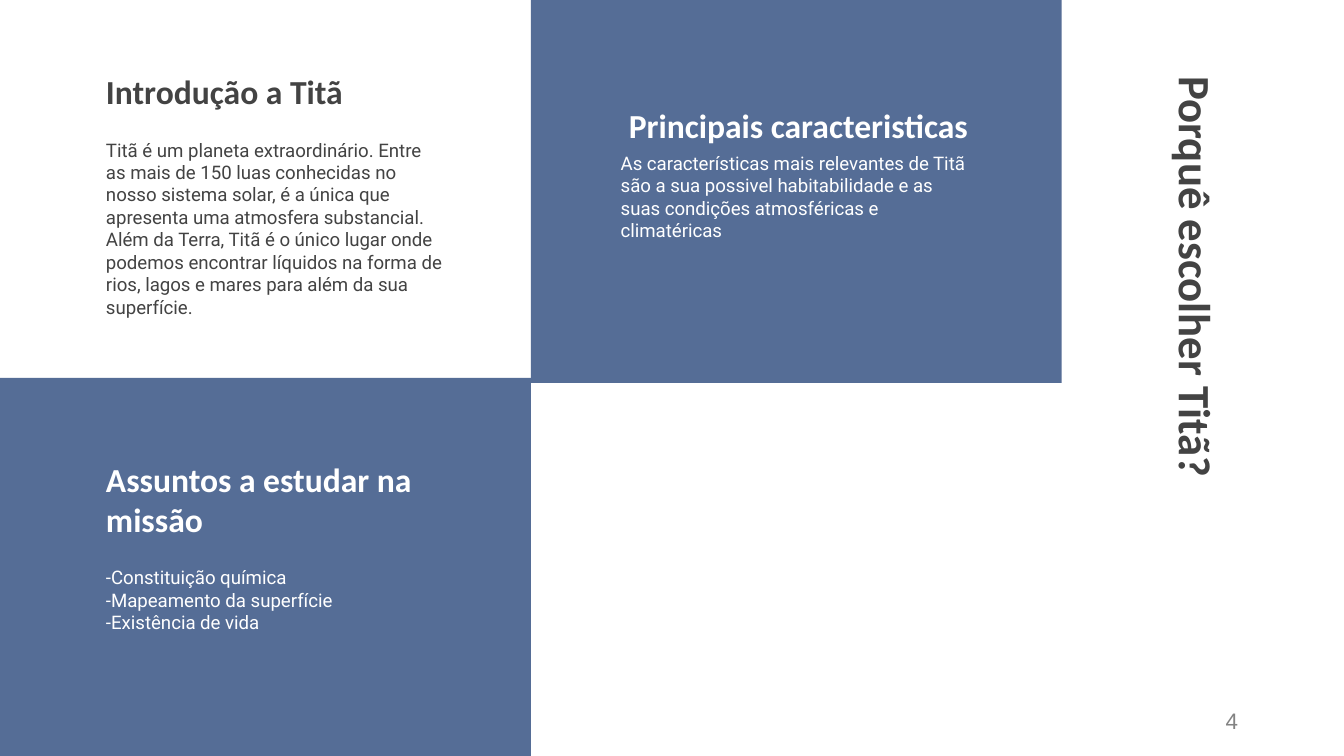
from pptx import Presentation
from pptx import util as u
from pptx.dml.color import RGBColor
from pptx.enum import shapes, text

COLORS = {"blue": "556D96", "dark": "434343", "white": "FFFFFF", "gray": "838383"}
WIDTH = 10
HEIGHT = WIDTH * 9 / 16
COL, ROW = 3.95, HEIGHT / 2  # panel grid, in inches
HEAD_H = 0.71

prs = Presentation()
prs.slide_width, prs.slide_height = u.Inches(WIDTH), u.Inches(HEIGHT)
s = prs.slides.add_slide(prs.slide_layouts[6])


def add_text(paragraphs, x, y, w, h, *, size, color, font="Calibri", bold=False,
             anchor=text.MSO_ANCHOR.TOP, align=text.PP_ALIGN.LEFT, inset_y=0.1):
    sp = s.shapes.add_textbox(*map(u.Inches, (x, y, w, h)))
    tf = sp.text_frame
    tf.word_wrap = True
    tf.vertical_anchor = anchor
    tf.margin_left = tf.margin_right = u.Inches(0.1)
    tf.margin_top = tf.margin_bottom = u.Inches(inset_y)
    for i, line in enumerate(paragraphs):
        p = tf.paragraphs[0] if i == 0 else tf.add_paragraph()
        p.alignment = align
        r = p.add_run()
        r.text = line
        r.font.name, r.font.size, r.font.bold = font, u.Pt(size), bold
        r.font.color.rgb = RGBColor.from_string(COLORS[color])
    return sp


# Blue panels: left, top, height
for x, y, h in [(COL, -0.03, 2.88), (0, ROW, ROW)]:
    sp = s.shapes.add_shape(shapes.MSO_SHAPE.RECTANGLE, *map(u.Inches, (x, y, COL, h)))
    sp.shadow.inherit = False
    sp.fill.solid()
    sp.fill.fore_color.rgb = RGBColor.from_string(COLORS["blue"])
    sp.line.fill.background()

# Panels: column, row, colour, heading, its (x, y, w) in the cell,
# body paragraphs, their (x, y, w, h) in the cell
panels = [
    (0, 0, "dark", "Introdução a Titã", (0.69, 0.22, 3.14),
     ["Titã é um planeta extraordinário. Entre as mais de 150 luas conhecidas no "
      "nosso sistema solar, é a única que apresenta uma atmosfera substancial.",
      "Além da Terra, Titã é o único lugar onde podemos encontrar líquidos na forma "
      "de rios, lagos e mares para além da sua superfície."],
     (0.69, 0.93, 2.71, 0.59)),
    (1, 0, "white", "Principais caracteristicas", (0.63, 0.47, 2.95),
     ["As características mais relevantes de Titã são a sua possivel habitabilidade "
      "e as suas condições atmosféricas e climatéricas"],
     (0.57, 1.03, 2.83, 0.82)),
    (0, 1, "white", "Assuntos a estudar na missão", (0.69, 0.59, 3.14),
     ["-Constituição química", "-Mapeamento da superfície", "-Existência de vida"],
     (0.69, 1.3, 2.71, 1.03)),
]
for col, row, color, heading, (hx, hy, hw), body, (bx, by, bw, bh) in panels:
    left, top = col * COL, row * ROW
    add_text([heading], left + hx, top + hy, hw, HEAD_H, size=18, color=color,
             bold=True, anchor=text.MSO_ANCHOR.BOTTOM)
    add_text(body, left + bx, top + by, bw, bh, size=10, color=color, font="Roboto")

title = add_text(["Porquê escolher Titã?"], 7.31, 1.8, 3.19, 0.53, size=24,
                 color="dark", bold=True, anchor=text.MSO_ANCHOR.MIDDLE)
title.rotation = 90

add_text(["4"], 7.06, 5.21, 2.25, 0.3, size=12, color="gray", font="Arial",
         anchor=text.MSO_ANCHOR.MIDDLE, align=text.PP_ALIGN.RIGHT, inset_y=0.05)

prs.save("out.pptx")
